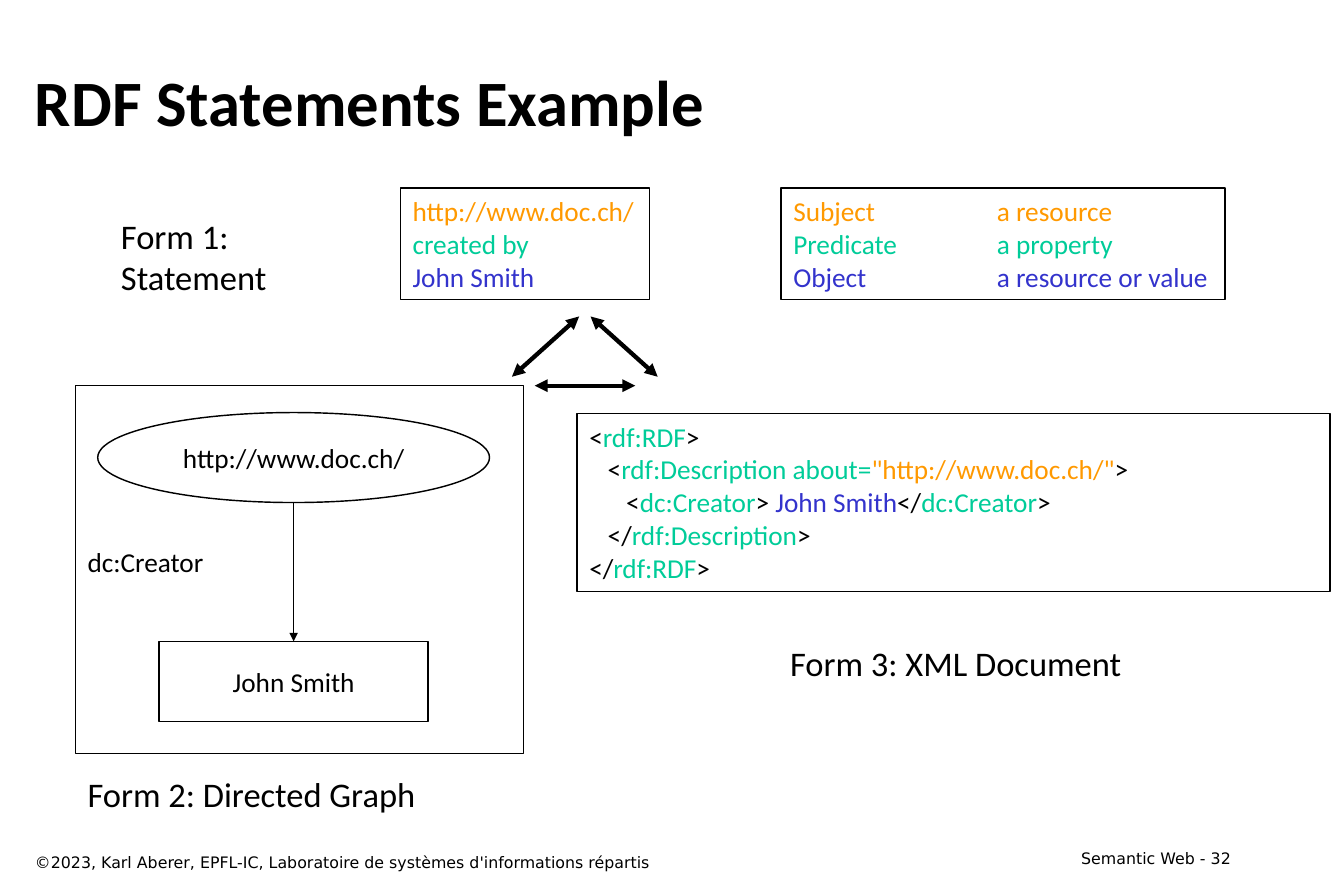
from lxml.etree import SubElement
from pptx import Presentation
from pptx.dml.color import RGBColor
from pptx.enum.shapes import MSO_CONNECTOR, MSO_SHAPE
from pptx.enum.text import MSO_ANCHOR, MSO_AUTO_SIZE, PP_ALIGN
from pptx.oxml.ns import qn
from pptx.util import Cm, Pt

COLORS = {"black": "000000", "white": "FFFFFF", "subject": "FF9900",
          "predicate": "00CC99", "object": "3333CC"}

TITLE = "RDF Statements Example"
COPYRIGHT = "©2023, Karl Aberer, EPFL-IC, Laboratoire de systèmes d'informations répartis"
PAGE = "Semantic Web - 32"
RESOURCE, VALUE, PROPERTY = "http://www.doc.ch/", "John Smith", "dc:Creator"
STATEMENT = [[(RESOURCE, "subject")], [("created by", "predicate")], [(VALUE, "object")]]
ROLES = [[("Subject\ta resource", "subject")],
         [("Predicate\ta property", "predicate")],
         [("Object\ta resource or value", "object")]]
XML_DOCUMENT = [
    [("<", "black"), ("rdf:RDF", "predicate"), (">", "black")],
    [("   <", "black"), ("rdf:Description about=", "predicate"),
     ('"http://www.doc.ch/"', "subject"), (">", "black")],
    [("      <", "black"), (PROPERTY, "predicate"), ("> ", "black"),
     (VALUE, "object"), ("</", "black"), (PROPERTY, "predicate"), (">", "black")],
    [("   </", "black"), ("rdf:Description", "predicate"), (">", "black")],
    [("</", "black"), ("rdf:RDF", "predicate"), (">", "black")],
]
FORM_LABELS = [
    (["Form 1:", "Statement"], (2.67, 5.13, 4.22, 2.36)),
    (["Form 2: Directed Graph"], (1.85, 18.82, 8.84, 1.32)),
    (["Form 3: XML Document"], (19.1, 15.62, 8.81, 1.32)),
]
FORM_ARROWS = [(12.57, 9.25, 14.22, 7.77), (13.13, 9.47, 15.6, 9.47),
               (14.5, 7.77, 16.15, 9.25)]

presentation = Presentation()
presentation.slide_width, presentation.slide_height = Cm(33), Cm(22)
slide = presentation.slides.add_slide(presentation.slide_layouts[6])


def rgb(color):
    return RGBColor.from_string(COLORS[color])


def add_text(lines, place, outline=None, fill=None, size=19, font="Calibri", bold=False,
             align=PP_ALIGN.LEFT, anchor=MSO_ANCHOR.TOP, wrap=True, tab=None):
    bounds = [Cm(length) for length in place]
    if outline is None:
        box = slide.shapes.add_textbox(*bounds)
    else:
        box = slide.shapes.add_shape(outline, *bounds)
        box.shadow.inherit = False
        box.line.color.rgb = rgb("black")
        box.line.width = Pt(1)
        if fill:
            box.fill.solid()
            box.fill.fore_color.rgb = rgb(fill)
        else:
            box.fill.background()
    frame = box.text_frame
    frame.word_wrap = wrap
    frame.auto_size = MSO_AUTO_SIZE.NONE if wrap else MSO_AUTO_SIZE.SHAPE_TO_FIT_TEXT
    frame.vertical_anchor = anchor
    frame.margin_left = frame.margin_right = Cm(0.3)
    frame.margin_top = frame.margin_bottom = Cm(0.15)
    for index, line in enumerate(lines):
        paragraph = frame.add_paragraph() if index else frame.paragraphs[0]
        paragraph.alignment = align
        if tab:
            stops = SubElement(paragraph._p.get_or_add_pPr(), qn("a:tabLst"))
            SubElement(stops, qn("a:tab"), pos=str(Cm(tab)), algn="l")
        for words, color in [(line, "black")] if isinstance(line, str) else line:
            run = paragraph.add_run()
            run.text = words
            run.font.size, run.font.name, run.font.bold = Pt(size), font, bold
            run.font.color.rgb = rgb(color)
    return box


def add_arrow(ends, width, arrowheads):
    arrow = slide.shapes.add_connector(MSO_CONNECTOR.STRAIGHT, *[Cm(end) for end in ends])
    arrow.line.color.rgb = rgb("black")
    arrow.line.width = Pt(width)
    for arrowhead in arrowheads:
        SubElement(arrow.line._get_or_add_ln(), qn(f"a:{arrowhead}"), type="triangle")
    SubElement(arrow._element.spPr, qn("a:effectLst"))
    return arrow


add_text([PAGE], (23.65, 20.7, 6.88, 0.74), size=11, font="DejaVu Sans", align=PP_ALIGN.RIGHT)
add_text([TITLE], (0.56, 0.99, 29.97, 2.95), size=45, bold=True, anchor=MSO_ANCHOR.MIDDLE)
add_text(STATEMENT, (9.83, 4.62, 6.12, 2.74), MSO_SHAPE.RECTANGLE, wrap=False)
add_text(ROLES, (19.18, 4.62, 10.9, 2.74), MSO_SHAPE.RECTANGLE, wrap=False, tab=5)
add_text(XML_DOCUMENT, (14.17, 10.16, 18.49, 4.37), MSO_SHAPE.RECTANGLE)
for label, place in FORM_LABELS:
    add_text(label, place, size=24, wrap=False)
for ends in FORM_ARROWS:
    add_arrow(ends, 3, ["headEnd", "tailEnd"])

add_text([], (1.85, 9.47, 11, 9.04), MSO_SHAPE.RECTANGLE)
add_text([PROPERTY], (1.85, 13.23, 3.45, 1.12), wrap=False)
node_format = {"fill": "white", "align": PP_ALIGN.CENTER, "anchor": MSO_ANCHOR.MIDDLE}
add_text([RESOURCE], (2.4, 10.13, 9.62, 2.21), MSO_SHAPE.OVAL, **node_format)
value_node = add_text([VALUE], (3.91, 15.75, 6.6, 1.96), MSO_SHAPE.FLOWCHART_PROCESS,
                      **node_format)
add_arrow((7.21, 12.34, 7.21, 15.75), 1, ["tailEnd"]).end_connect(value_node, 0)

add_text([COPYRIGHT], (0.56, 20.78, 21.18, 0.74), size=11, font="DejaVu Sans")
presentation.save("out.pptx")
